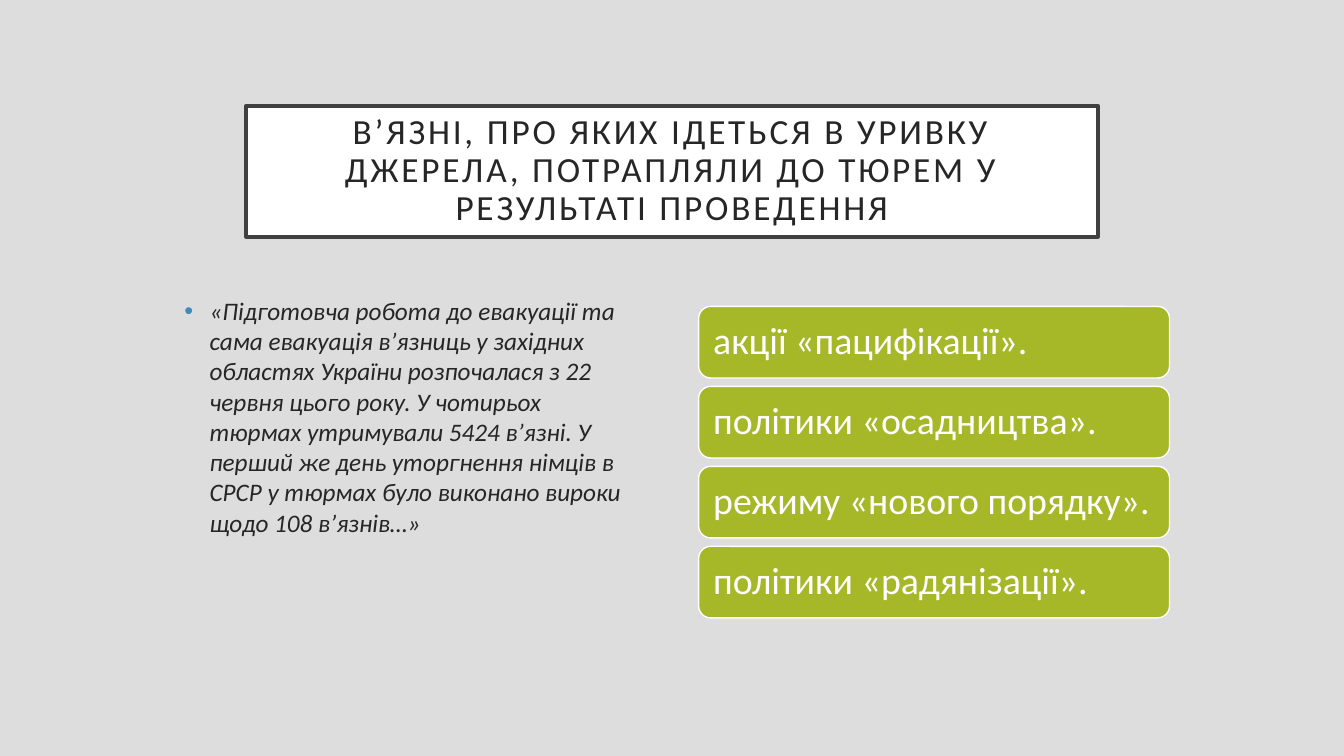
from lxml import etree
from pptx import Presentation
from pptx.dml.color import RGBColor
from pptx.enum.shapes import MSO_SHAPE
from pptx.enum.text import MSO_ANCHOR, PP_ALIGN
from pptx.oxml.ns import qn
from pptx.util import Inches, Pt

TITLE = "В’ЯЗНІ, ПРО ЯКИХ ІДЕТЬСЯ В УРИВКУ ДЖЕРЕЛА, ПОТРАПЛЯЛИ ДО ТЮРЕМ У РЕЗУЛЬТАТІ ПРОВЕДЕННЯ"
QUOTE = (
    "«Підготовча робота до евакуації та сама евакуація в’язниць у західних "
    "областях України розпочалася з 22 червня цього року. У чотирьох тюрмах "
    "утримували 5424 в’язні. У перший же день уторгнення німців в СРСР у "
    "тюрмах було виконано вироки щодо 108 в’язнів…»"
)
ANSWERS = [
    "акції «пацифікації».",
    "політики «осадництва».",
    "режиму «нового порядку».",
    "політики «радянізації».",
]

GREY = RGBColor(0xDD, 0xDD, 0xDD)
WHITE = RGBColor(0xFF, 0xFF, 0xFF)
FRAME = RGBColor(0x40, 0x40, 0x40)
INK = RGBColor(0x26, 0x26, 0x26)
GREEN = RGBColor(0xA6, 0xB7, 0x27)
BLUE = "418AB3"
FONT = "Calibri"
RECT, ROUND = MSO_SHAPE.RECTANGLE, MSO_SHAPE.ROUNDED_RECTANGLE
MIDDLE = MSO_ANCHOR.MIDDLE
LEFT, CENTER = PP_ALIGN.LEFT, PP_ALIGN.CENTER

WIDTH, HEIGHT = 13.33, 7.5
COL_W = 4.67
QUOTE_X, CARD_X = 1.73, 6.93
CARD_TOP, CARD_END, CARD_H = 3.04, 6.13, 0.71


def write(shape, text, size, color, align, inset):
    frame = shape.text_frame
    frame.word_wrap = True
    frame.margin_left = frame.margin_right = Inches(inset)
    para = frame.paragraphs[0]
    para.text = text
    para.alignment = align
    font = para.font
    font.name, font.size, font.color.rgb = FONT, Pt(size), color
    return para


def add_box(slide, kind, place, fill, line, weight):
    box = slide.shapes.add_shape(kind, *map(Inches, place))
    box.shadow.inherit = False
    box.fill.solid()
    box.fill.fore_color.rgb = fill
    box.line.color.rgb = line
    box.line.width = Pt(weight)
    box.text_frame.vertical_anchor = MIDDLE
    return box


def add_bullet(para, indent):
    props = para._p.get_or_add_pPr()
    props.set("marL", str(Inches(indent)))
    props.set("indent", str(-Inches(indent)))
    color = etree.SubElement(props, qn("a:buClr"))
    etree.SubElement(color, qn("a:srgbClr"), val=BLUE)
    etree.SubElement(props, qn("a:buFont"), typeface="Arial")
    etree.SubElement(props, qn("a:buChar"), char="•")


def add_title(slide):
    box = add_box(slide, RECT, (2.44, 1.05, 8.45, 1.3), WHITE, FRAME, 2.5)
    para = write(box, TITLE, 25.2, INK, CENTER, 0.2)
    para.line_spacing = 0.9
    para.runs[0]._r.get_or_add_rPr().set("spc", "200")


def add_quote(slide):
    box = slide.shapes.add_textbox(*map(Inches, (QUOTE_X, 2.88, COL_W, 3.39)))
    add_bullet(box.text_frame.paragraphs[0], 0.25)
    para = write(box, QUOTE, 18, INK, LEFT, 0.1)
    para.font.italic = True


def add_answers(slide):
    step = (CARD_END - CARD_H - CARD_TOP) / (len(ANSWERS) - 1)
    for row, answer in enumerate(ANSWERS):
        place = CARD_X, CARD_TOP + row * step, COL_W, CARD_H
        card = add_box(slide, ROUND, place, GREEN, WHITE, 1)
        para = write(card, answer, 27, WHITE, LEFT, 0.11)
        para.line_spacing = 0.9


def main():
    deck = Presentation()
    deck.slide_width, deck.slide_height = Inches(WIDTH), Inches(HEIGHT)
    slide = deck.slides.add_slide(deck.slide_layouts[6])
    back = slide.background.fill
    back.solid()
    back.fore_color.rgb = GREY
    add_title(slide)
    add_quote(slide)
    add_answers(slide)
    deck.save("out.pptx")


if __name__ == "__main__":
    main()
